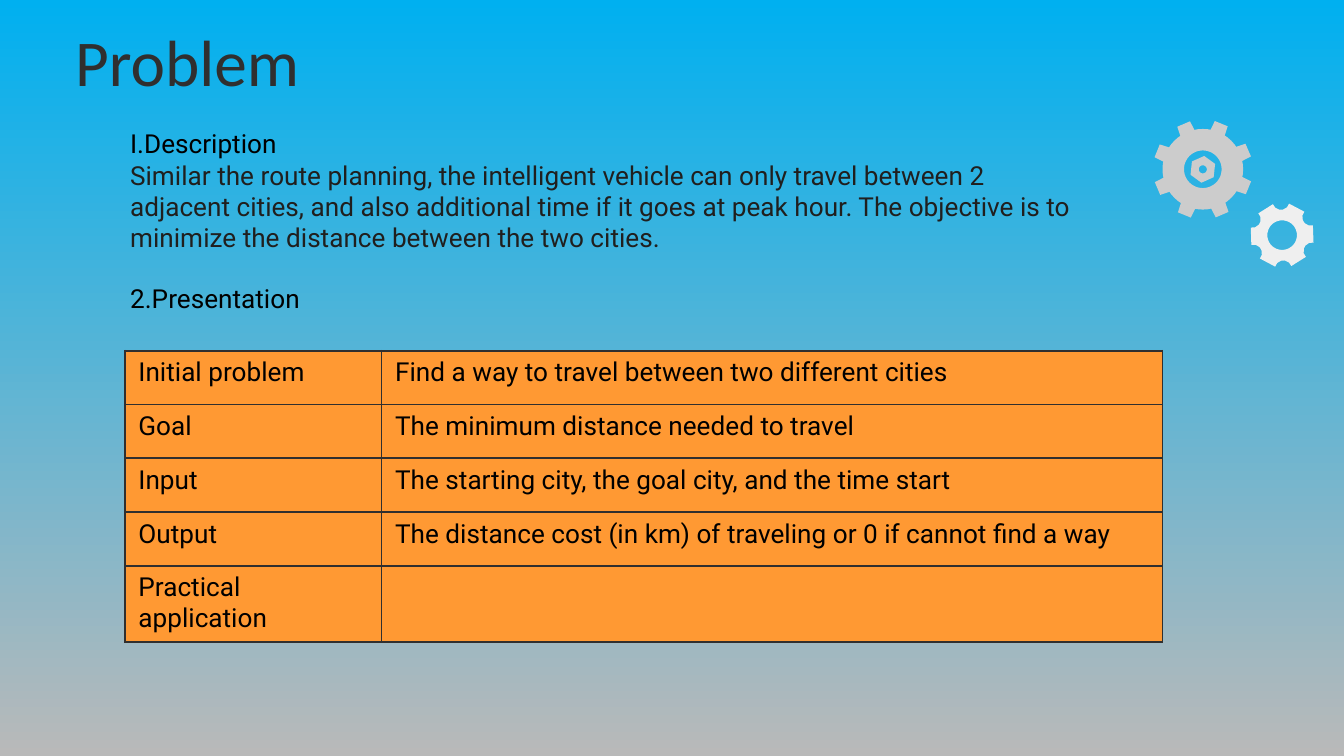
"""Build the Problem slide: description, problem table and two gears."""
from math import cos, radians, sin

from lxml.etree import SubElement
from pptx import Presentation
from pptx.dml.color import RGBColor
from pptx.enum.text import MSO_ANCHOR, MSO_AUTO_SIZE, PP_ALIGN
from pptx.oxml.ns import qn
from pptx.util import Inches, Pt

COLORS = {
    "sky": "00B0F0", "haze": "B9B9B9", "heading": "302F2F", "text": "000000",
    "body": "201F1E", "cell": "FF9933", "large_gear": "CCCCCC", "small_gear": "EFEFEF",
}
TITLE = "Problem"
DESCRIPTION = [
    ("I.Description", "text"),
    ("Similar the route planning, the intelligent vehicle can only travel between 2 "
     "adjacent cities, and also additional time if it goes at peak hour. The objective "
     "is to minimize the distance between the two cities.", "body"),
]
PRESENTATION = [("2.Presentation", "text")]
PROBLEM_ROWS = [
    ("Initial problem", "Find a way to travel between two different cities"),
    ("Goal", "The minimum distance needed to travel"),
    ("Input", "The starting city, the goal city, and the time start"),
    ("Output", "The distance cost (in km) of traveling or 0 if cannot find a way"),
    ("Practical application", ""),
]
SLIDE_WIDTH = Inches(10)
SLIDE_HEIGHT = SLIDE_WIDTH * 9 // 16
COLUMN_WIDTHS = (1.91, 5.81)
ROW_HEIGHT = 0.4
LARGE_CENTER, LARGE_TEETH = (8.95, 1.26), 8
SMALL_CENTER, SMALL_TEETH = (9.54, 1.75), 6
LARGE_TOOTH = [(-11.5, 0.29), (-8, 0.37), (8, 0.37), (11.5, 0.29)]
SMALL_TOOTH = [(-26, 0.19), (-18, 0.21), (-15.5, 0.24),
               (15.5, 0.24), (18, 0.21), (26, 0.19)]


def color(name):
    return RGBColor.from_string(COLORS[name])


def style(paragraph, size, font, name):
    for run in paragraph.runs:
        run.font.size, run.font.name = Pt(size), font
        run.font.color.rgb = color(name)


def add_text(slide, paragraphs, left, top, width, height, wrap):
    frame = slide.shapes.add_textbox(*map(Inches, (left, top, width, height))).text_frame
    frame.word_wrap = wrap
    frame.auto_size = MSO_AUTO_SIZE.SHAPE_TO_FIT_TEXT
    frame.text = "\n".join(words for words, _ in paragraphs)
    for paragraph, (_, name) in zip(frame.paragraphs, paragraphs):
        style(paragraph, 14, "Roboto", name)


def add_border(cell):
    properties = cell._tc.get_or_add_tcPr()
    for position, side in enumerate(("lnL", "lnR", "lnT", "lnB")):
        line = SubElement(properties, qn(f"a:{side}"), w=str(Pt(1)))
        fill = SubElement(line, qn("a:solidFill"))
        SubElement(fill, qn("a:srgbClr"), val=COLORS["heading"])
        properties.insert(position, line)


def polar(center, points):
    return [(Inches(center[0] + radius * cos(radians(angle))),
             Inches(center[1] + radius * sin(radians(angle)))) for angle, radius in points]


def ring(center, radius, sides=48, start=0):
    return polar(center, [(start + 360 * i / sides, radius) for i in range(sides)])


def add_outline(shapes, contours, name):
    builder = shapes.build_freeform(*contours[0][0], scale=1.0)
    builder.add_line_segments(contours[0][1:], close=True)
    for contour in contours[1:]:
        builder.move_to(*contour[0])
        builder.add_line_segments(contour[1:], close=True)
    outline = builder.convert_to_shape()
    outline.shadow.inherit = False
    outline.fill.solid()
    outline.fill.fore_color.rgb = color(name)
    outline.line.fill.background()


def add_gears(slide):
    rim = [(60 * i - 2 + angle, radius) for i in range(SMALL_TEETH)
           for angle, radius in SMALL_TOOTH]
    add_outline(slide.shapes, [polar(SMALL_CENTER, rim), ring(SMALL_CENTER, 0.11)],
                "small_gear")
    large = slide.shapes.add_group_shape().shapes
    add_outline(large, [ring(LARGE_CENTER, 0.3), ring(LARGE_CENTER, 0.14)], "large_gear")
    for i in range(LARGE_TEETH):
        tooth = [(45 * i - 23 + angle, radius) for angle, radius in LARGE_TOOTH]
        add_outline(large, [polar(LARGE_CENTER, tooth)], "large_gear")
    add_outline(large, [ring(LARGE_CENTER, 0.1, 6, -24), ring(LARGE_CENTER, 0.03)],
                "large_gear")


def add_problem_table(slide):
    rows, columns = len(PROBLEM_ROWS), len(COLUMN_WIDTHS)
    table = slide.shapes.add_table(
        rows, columns, Inches(0.93), Inches(2.61),
        Inches(sum(COLUMN_WIDTHS)), Inches(ROW_HEIGHT * rows)).table
    table.first_row = table.horz_banding = False
    for column, width in zip(table.columns, COLUMN_WIDTHS):
        column.width = Inches(width)
    for r, entries in enumerate(PROBLEM_ROWS):
        for c, words in enumerate(entries):
            cell = table.cell(r, c)
            cell.text_frame.text = words
            style(cell.text_frame.paragraphs[0], 14, "Roboto", "text")
            cell.fill.solid()
            cell.fill.fore_color.rgb = color("cell")
            add_border(cell)


def add_title(slide):
    title = slide.shapes.title
    title.left, title.top, title.width, title.height = map(Inches, (0.46, 0.06, 3.4, 0.63))
    frame = title.text_frame
    frame.text = TITLE
    frame.auto_size = MSO_AUTO_SIZE.NONE
    frame.vertical_anchor = MSO_ANCHOR.TOP
    frame.margin_left = frame.margin_right = frame.margin_top = Inches(0.1)
    frame.margin_bottom = 0
    frame.paragraphs[0].alignment = PP_ALIGN.LEFT
    style(frame.paragraphs[0], 35, "Calibri", "heading")


def main():
    deck = Presentation()
    deck.slide_width, deck.slide_height = SLIDE_WIDTH, SLIDE_HEIGHT
    slide = deck.slides.add_slide(deck.slide_layouts[5])
    backdrop = slide.background.fill
    backdrop.gradient()
    backdrop.gradient_angle = 270
    for stop, name in zip(backdrop.gradient_stops, ("sky", "haze")):
        stop.color.rgb = color(name)
    add_title(slide)
    add_gears(slide)
    add_text(slide, DESCRIPTION, 0.87, 0.9, 7.24, 1.28, True)
    add_text(slide, PRESENTATION, 0.87, 2.05, 1.52, 0.34, False)
    add_problem_table(slide)
    deck.save("out.pptx")


if __name__ == "__main__":
    main()
